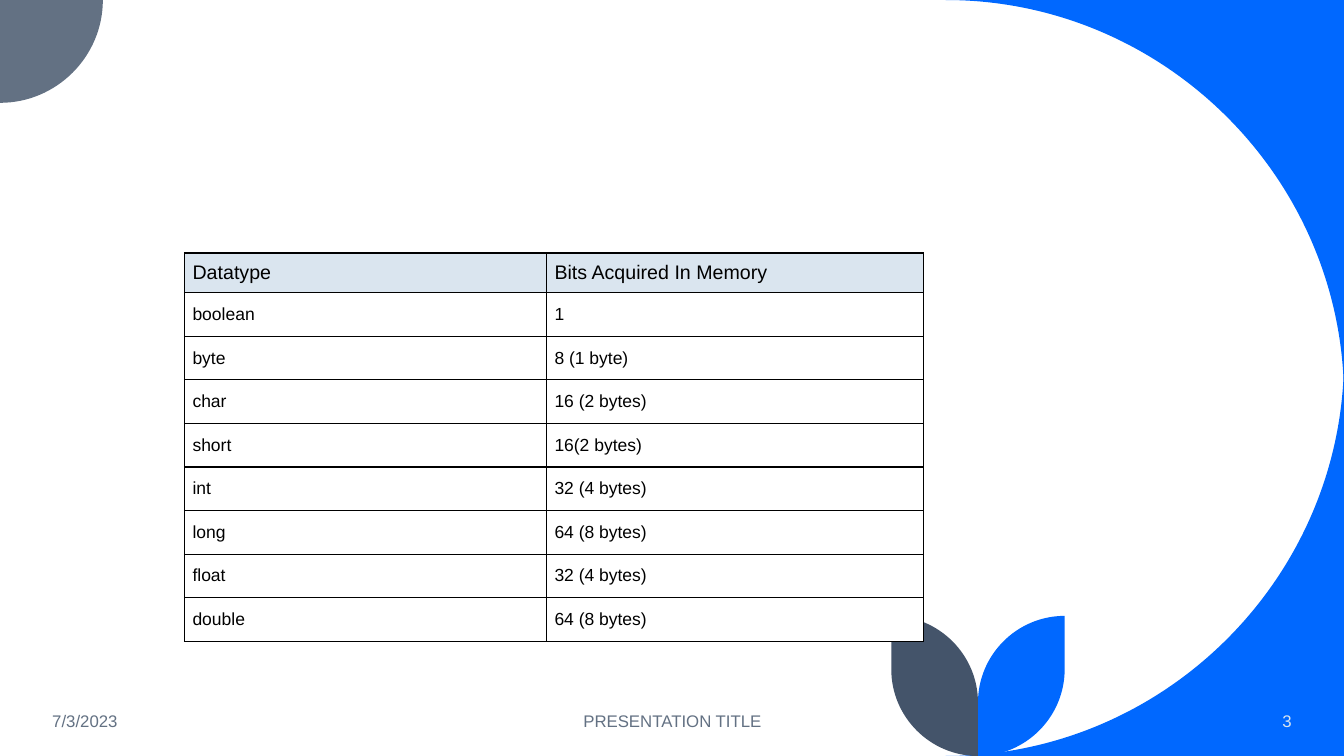
from dataclasses import dataclass

from lxml.etree import SubElement
from pptx import Presentation
from pptx.dml.color import RGBColor
from pptx.enum.text import MSO_ANCHOR, PP_ALIGN
from pptx.oxml.ns import qn
from pptx.slide import Slide
from pptx.table import _Cell
from pptx.text.text import TextFrame
from pptx.util import Inches, Pt

FONT = "Arial"
BLUE = RGBColor(0x00, 0x68, 0xFF)
SLATE = RGBColor(0x63, 0x71, 0x83)
NAVY = RGBColor(0x44, 0x54, 0x6A)
PALE = RGBColor(0xDA, 0xE5, 0xEF)
WHITE = RGBColor(0xFF, 0xFF, 0xFF)
BLACK = RGBColor(0x00, 0x00, 0x00)
WIDTH, HEIGHT = 13.33, 7.5
CURVE_PULL = 0.55
Point = tuple[float, float]


@dataclass
class Line:
    end: Point

    def points(self, start: Point) -> list[Point]:
        return [self.end]


@dataclass
class QuarterArc:
    corner: Point
    end: Point

    def points(self, start: Point) -> list[Point]:
        return [self.pull(start), self.pull(self.end), self.end]

    def pull(self, point: Point) -> Point:
        x, y = point
        return x + CURVE_PULL * (self.corner[0] - x), y + CURVE_PULL * (self.corner[1] - y)


@dataclass
class Outline:
    color: RGBColor
    start: Point
    segments: list[Line | QuarterArc]


@dataclass
class FooterItem:
    text: str
    left: float
    width: float
    align: PP_ALIGN
    color: RGBColor


def leaf(color: RGBColor, outer: float) -> Outline:
    stem, top = 9.7, 6.11
    return Outline(color, (outer, top), [
        Line((outer, 6.64)),
        QuarterArc((outer, HEIGHT), (stem, HEIGHT)),
        Line((stem, 6.97)),
        QuarterArc((stem, top), (outer, top)),
    ])


OUTLINES = [
    Outline(BLUE, (WIDTH, 0), [Line((9.38, 0)), QuarterArc((WIDTH, 0), (WIDTH, 3.95))]),
    Outline(BLUE, (WIDTH, 3.55), [QuarterArc((WIDTH, HEIGHT), (9.38, HEIGHT)), Line((WIDTH, HEIGHT))]),
    Outline(SLATE, (0, 0), [Line((1.02, 0)), QuarterArc((1.02, 1.02), (0, 1.02))]),
    leaf(BLUE, 10.56),
    leaf(NAVY, 8.84),
]
FOOTER = [
    FooterItem("7/3/2023", 0.42, 3, PP_ALIGN.LEFT, SLATE),
    FooterItem("PRESENTATION TITLE", 4.42, 4.5, PP_ALIGN.CENTER, SLATE),
    FooterItem("3", 11.1, 1.81, PP_ALIGN.RIGHT, PALE),
]
DATATYPES = [
    ("Datatype", "Bits Acquired In Memory"),
    ("boolean", "1"),
    ("byte", "8 (1 byte)"),
    ("char", "16 (2 bytes)"),
    ("short", "16(2 bytes)"),
    ("int", "32 (4 bytes)"),
    ("long", "64 (8 bytes)"),
    ("float", "32 (4 bytes)"),
    ("double", "64 (8 bytes)"),
]
COLUMN_WIDTHS = (3.59, 3.74)
TABLE_HEIGHT, HEADER_HEIGHT = 3.85, 0.39
ROW_HEIGHT = (TABLE_HEIGHT - HEADER_HEIGHT) / (len(DATATYPES) - 1)


def set_text(tf: TextFrame, text: str, size: float, color: RGBColor) -> None:
    tf.text = text
    font = tf.paragraphs[0].runs[0].font
    font.name, font.size, font.color.rgb = FONT, Pt(size), color


def draw_outline(s: Slide, outline: Outline) -> None:
    points = [outline.start]
    sizes = []
    for segment in outline.segments:
        added = segment.points(points[-1])
        points += added
        sizes.append(len(added))
    start, *rest = [(Inches(x), Inches(y)) for x, y in points]
    builder = s.shapes.build_freeform(*start)
    builder.add_line_segments(rest, close=True)
    sp = builder.convert_to_shape()
    steps = iter(list(sp._element.iter(qn("a:lnTo"))))
    for size in sizes:
        first, *others = [next(steps) for _ in range(size)]
        if others:
            first.tag = qn("a:cubicBezTo")
        for step in others:
            first.append(step[0])
            step.getparent().remove(step)
    sp.shadow.inherit = False
    sp.fill.solid()
    sp.fill.fore_color.rgb = outline.color
    sp.line.fill.background()


def draw_footer(s: Slide, item: FooterItem) -> None:
    sp = s.shapes.add_textbox(Inches(item.left), Inches(6.95), Inches(item.width), Inches(0.4))
    tf = sp.text_frame
    tf.word_wrap = True
    tf.vertical_anchor = MSO_ANCHOR.MIDDLE
    set_text(tf, item.text, 12, item.color)
    p = tf.paragraphs[0]
    p.alignment = item.align
    p.space_after = Pt(6)


def add_borders(cell: _Cell) -> None:
    properties = cell._tc.get_or_add_tcPr()
    for side in ("lnL", "lnR", "lnT", "lnB"):
        line = SubElement(properties, qn(f"a:{side}"), w=str(Pt(1)))
        fill = SubElement(line, qn("a:solidFill"))
        SubElement(fill, qn("a:srgbClr"), val=str(BLACK))


def format_cell(cell: _Cell, text: str, header: bool) -> None:
    set_text(cell.text_frame, text, 14 if header else 12.5, BLACK)
    cell.vertical_anchor = MSO_ANCHOR.MIDDLE
    cell.margin_left = cell.margin_right = Inches(0.08)
    cell.margin_top = cell.margin_bottom = Inches(0.08 if header else 0.11)
    add_borders(cell)
    cell.fill.solid()
    cell.fill.fore_color.rgb = PALE if header else WHITE


def draw_table(s: Slide) -> None:
    table = s.shapes.add_table(
        len(DATATYPES), len(COLUMN_WIDTHS),
        Inches(1.83), Inches(2.51), Inches(sum(COLUMN_WIDTHS)), Inches(TABLE_HEIGHT),
    ).table
    table.first_row = table.horz_banding = False
    for column, width in zip(table.columns, COLUMN_WIDTHS):
        column.width = Inches(width)
    for i, texts in enumerate(DATATYPES):
        table.rows[i].height = Inches(ROW_HEIGHT if i else HEADER_HEIGHT)
        for j, text in enumerate(texts):
            format_cell(table.cell(i, j), text, header=i == 0)


def main() -> None:
    prs = Presentation()
    prs.slide_width, prs.slide_height = Inches(WIDTH), Inches(HEIGHT)
    s = prs.slides.add_slide(prs.slide_layouts[6])
    for outline in OUTLINES:
        draw_outline(s, outline)
    for item in FOOTER:
        draw_footer(s, item)
    draw_table(s)
    prs.save("out.pptx")


if __name__ == "__main__":
    main()
